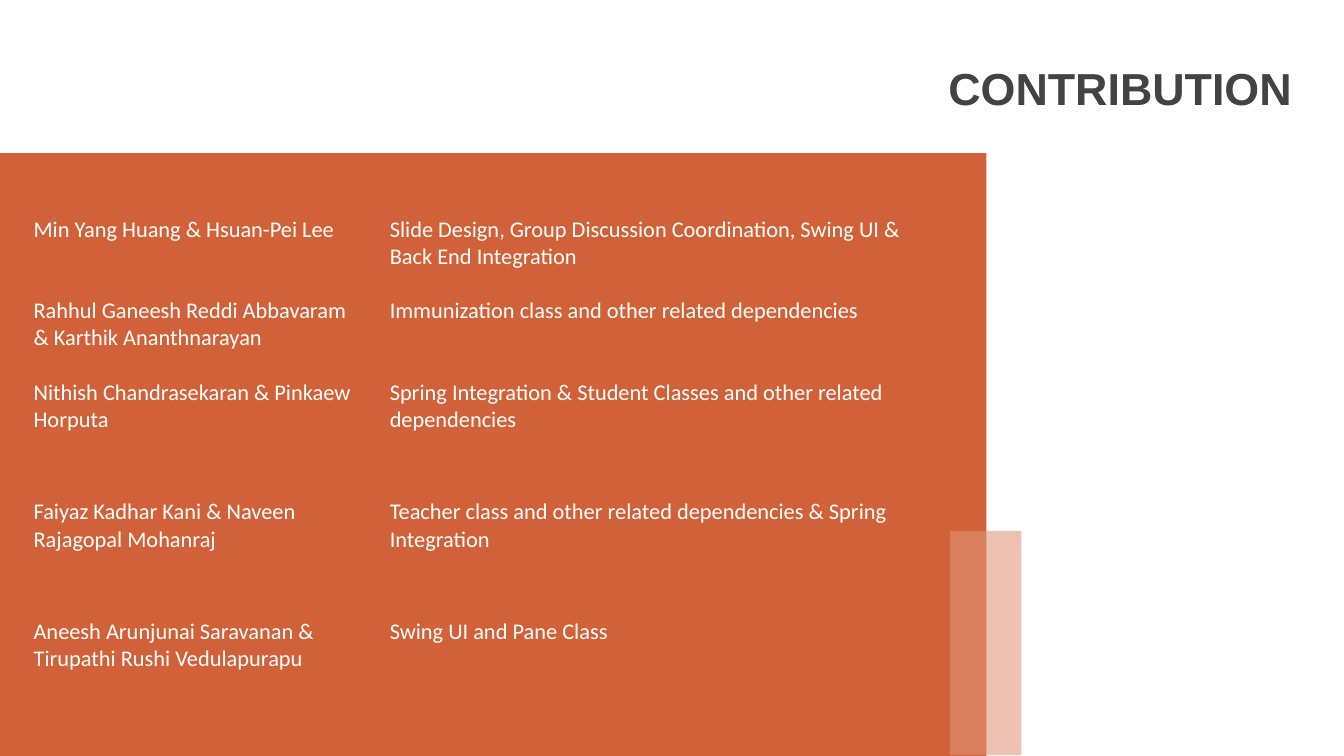
from lxml import etree
from pptx import Presentation
from pptx.dml.color import RGBColor
from pptx.enum.shapes import MSO_SHAPE
from pptx.enum.text import MSO_ANCHOR, PP_ALIGN
from pptx.oxml.ns import qn
from pptx.util import Inches, Pt

RECTANGLE = MSO_SHAPE.RECTANGLE
MIDDLE = MSO_ANCHOR.MIDDLE
RIGHT = PP_ALIGN.RIGHT

ORANGE = RGBColor(0xD1, 0x61, 0x38)
LIGHT_ORANGE = RGBColor(0xDF, 0x95, 0x7A)
DARK_GRAY = RGBColor(0x43, 0x43, 0x43)
WHITE = RGBColor(0xFF, 0xFF, 0xFF)

MARGIN = Inches(0.1)
COLUMN_WIDTHS = [2.65, 4.33]
ROW_HEIGHTS = [0.45, 0.61, 0.89, 0.89, 0.45]

# Each cell is a list of paragraphs.
CONTRIBUTIONS = [
    (["Min Yang Huang & Hsuan-Pei Lee"],
     ["Slide Design, Group Discussion Coordination, Swing UI & Back End Integration"]),
    (["Rahhul Ganeesh Reddi Abbavaram", "& Karthik Ananthnarayan"],
     ["Immunization class and other related dependencies"]),
    (["Nithish Chandrasekaran & Pinkaew Horputa"],
     ["Spring Integration & Student Classes and other related dependencies"]),
    (["Faiyaz Kadhar Kani & Naveen Rajagopal Mohanraj"],
     ["Teacher class and other related dependencies & Spring", "Integration"]),
    (["Aneesh Arunjunai Saravanan & Tirupathi Rushi Vedulapurapu"],
     ["Swing UI and Pane Class"]),
]


def add_rectangle(left, top, width, height, color):
    shape = page.shapes.add_shape(
        RECTANGLE, Inches(left), Inches(top), Inches(width), Inches(height))
    shape.shadow.inherit = False
    shape.fill.solid()
    shape.fill.fore_color.rgb = color
    shape.line.fill.background()
    return shape


def add_span(para, text, font_name, size, color, bold=False):
    span = para.add_run()
    span.text = text
    span.font.name = font_name
    span.font.size = Pt(size)
    span.font.color.rgb = color
    span.font.bold = bold


deck = Presentation()
deck.slide_width = Inches(10)
deck.slide_height = deck.slide_width * 9 // 16
page = deck.slides.add_slide(deck.slide_layouts[6])

# Background panel and translucent accent
add_rectangle(0, 1.14, 7.34, 4.49, ORANGE)
accent = add_rectangle(7.07, 3.95, 0.53, 1.67, LIGHT_ORANGE)
accent_color = accent.fill._xPr.find(qn("a:solidFill"))[0]
etree.SubElement(accent_color, qn("a:alpha")).set("val", "58000")

# Title
title_box = page.shapes.add_textbox(
    Inches(5.96), Inches(0.34), Inches(3.75), Inches(0.63))
title_frame = title_box.text_frame
title_frame.word_wrap = True
title_frame.vertical_anchor = MIDDLE
title_frame.margin_left = title_frame.margin_right = MARGIN
title_frame.margin_top = title_frame.margin_bottom = MARGIN
title_para = title_frame.paragraphs[0]
title_para.alignment = RIGHT
add_span(title_para, "CONTRIBUTION", "Arial", 24, DARK_GRAY, bold=True)

# Contribution table
table = page.shapes.add_table(
    len(ROW_HEIGHTS), len(COLUMN_WIDTHS), Inches(0.09), Inches(1.51),
    Inches(sum(COLUMN_WIDTHS)), Inches(sum(ROW_HEIGHTS))).table
table.first_row = False
table.horz_banding = False
for column, width in zip(table.columns, COLUMN_WIDTHS):
    column.width = Inches(width)
for row, height in zip(table.rows, ROW_HEIGHTS):
    row.height = Inches(height)

for row, contribution in zip(table.rows, CONTRIBUTIONS):
    for cell, lines in zip(row.cells, contribution):
        cell.margin_left = cell.margin_right = MARGIN
        cell.margin_top = cell.margin_bottom = MARGIN
        cell_properties = cell._tc.get_or_add_tcPr()
        for side in ("a:lnL", "a:lnR", "a:lnT", "a:lnB"):
            border = etree.SubElement(cell_properties, qn(side))
            etree.SubElement(border, qn("a:noFill"))
        cell.fill.background()
        for index, line in enumerate(lines):
            frame = cell.text_frame
            para = frame.add_paragraph() if index else frame.paragraphs[0]
            para.level = 1
            para_properties = para._p.get_or_add_pPr()
            para_properties.set("marL", str(Inches(0.06)))
            para_properties.set("indent", "0")
            add_span(para, line, "Calibri", 12, WHITE)

deck.save("out.pptx")
